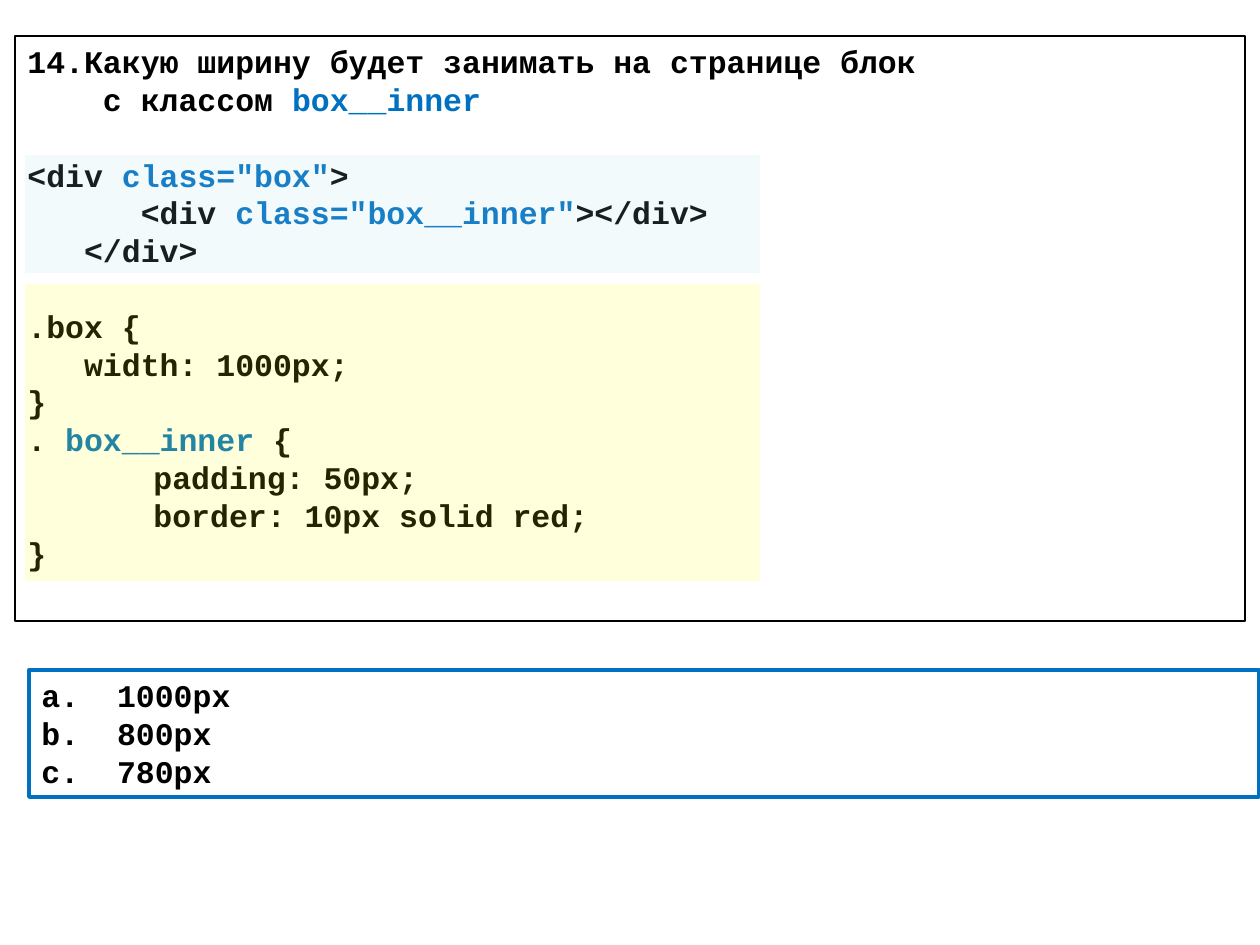
from pptx import Presentation
from pptx.dml.color import RGBColor
from pptx.enum import shapes, text
from pptx.oxml.xmlchemy import OxmlElement
from pptx.util import Emu, Pt

SCALE = 914400 // 126
FONT = "Courier New"
BLACK = "000000"
BLUE = "0070C0"
LINE_GAP = 21.6
CHARACTER = 18.9


def px(length):
    return Emu(round(length * 914400 / 126))


def colour(value):
    return RGBColor.from_string(value)


def add_box(page, left, top, width, height, line=None, weight=1.5, fill=None, alpha=14):
    box = page.shapes.add_shape(
        shapes.MSO_SHAPE.RECTANGLE, px(left), px(top), px(width), px(height))
    box.shadow.inherit = False
    if fill:
        box.fill.solid()
        box.fill.fore_color.rgb = colour(fill)
        opacity = OxmlElement("a:alpha")
        opacity.set("val", str(alpha * 1000))
        box.fill._xPr.find(".//{*}srgbClr").append(opacity)
    else:
        box.fill.background()
    if line:
        box.line.color.rgb = colour(line)
        box.line.width = Pt(weight)
    else:
        box.line.fill.background()
    return box


def add_span(para, content, size=18, color=BLACK, bold=True):
    span = para.add_run()
    span.text = content
    span.font.name = FONT
    span.font.size = Pt(size)
    span.font.bold = bold
    span.font.color.rgb = colour(color)


def write_lines(box, lines):
    frame = box.text_frame
    frame.word_wrap = True
    frame.vertical_anchor = text.MSO_ANCHOR.TOP
    for index, (indent, gap, spans) in enumerate(lines):
        para = frame.paragraphs[0] if index == 0 else frame.add_paragraph()
        para.alignment = text.PP_ALIGN.LEFT
        para.space_before = Pt(gap * LINE_GAP)
        para._p.get_or_add_pPr().set("marL", str(px(indent * CHARACTER)))
        for content, color in spans:
            add_span(para, content, color=color)


def main():
    deck = Presentation()
    deck.slide_width, deck.slide_height = px(1260), px(945)
    page = deck.slides.add_slide(deck.slide_layouts[6])

    question = add_box(page, 15, 36, 1230, 585, line=BLACK)
    write_lines(question, [
        (0, 0, [("14.Какую ширину будет занимать на странице блок", BLACK)]),
        (4, 0, [("с классом ", BLACK), ("box__inner", BLUE)]),
        (0, 1, [("<div ", BLACK), ('class="box"', BLUE), (">", BLACK)]),
        (6, 0, [("<div ", BLACK), ('class="box__inner"', BLUE), ("></div>", BLACK)]),
        (3, 0, [("</div>", BLACK)]),
        (0, 1, [(".box {", BLACK)]),
        (3, 0, [("width: 1000px;", BLACK)]),
        (0, 0, [("}", BLACK)]),
        (0, 0, [(". ", BLACK), ("box__inner", BLUE), (" {", BLACK)]),
        (6.67, 0, [("padding: 50px;", BLACK)]),
        (6.67, 0, [("border: 10px solid red;", BLACK)]),
        (0, 0, [("}", BLACK)]),
    ])

    answers = add_box(page, 29, 670, 1230, 127, line=BLUE, weight=2.25)
    write_lines(answers, [
        (0, 0, [(f"{letter}.\u00a0 {width}px", BLACK)])
        for letter, width in zip("abc", (1000, 800, 780))
    ])

    for top, height, fill in ((155, 118, "ABDFEB"), (284, 297, "FFFF00")):
        add_box(page, 25, top, 735, height, fill=fill)

    deck.save("out.pptx")


if __name__ == "__main__":
    main()
